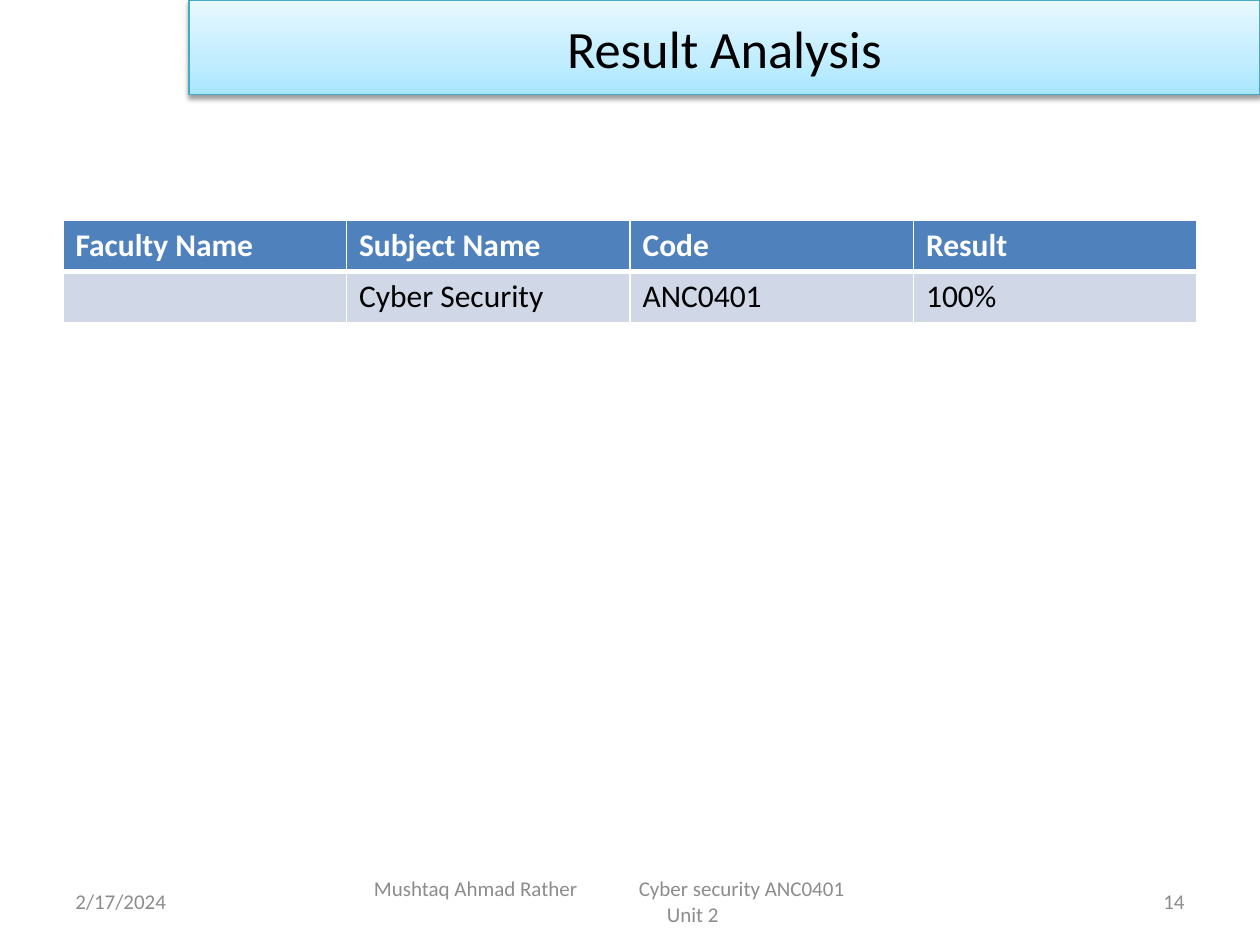
from lxml.etree import SubElement
from pptx import Presentation
from pptx.dml.color import RGBColor
from pptx.enum.shapes import MSO_SHAPE
from pptx.enum.text import MSO_ANCHOR, PP_ALIGN
from pptx.oxml.ns import qn
from pptx.util import Pt

FONT = "Calibri"
BLACK = RGBColor(0x00, 0x00, 0x00)
WHITE = RGBColor(0xFF, 0xFF, 0xFF)
GREY = RGBColor(0x8C, 0x8C, 0x8C)
TEAL = RGBColor(0x46, 0xAA, 0xC5)
HEADER_BLUE = RGBColor(0x4F, 0x81, 0xBD)
ROW_BLUE = RGBColor(0xD0, 0xD8, 0xE8)
BANNER_STOPS = [
    (0, RGBColor(0xA7, 0xE6, 0xFF)),
    (35, RGBColor(0xC1, 0xED, 0xFF)),
    (100, RGBColor(0xE7, 0xF8, 0xFF)),
]

TITLE = "Result Analysis"
RESULTS = [
    ["Faculty Name", "Subject Name", "Code", "Result"],
    ["", "Cyber Security", "ANC0401", "100%"],
]
FOOTER_TOP, FOOTER_HEIGHT = 500.5, 28.8
FOOTERS = [
    (36, 168, PP_ALIGN.LEFT, [("2/17/2024", [])]),
    (516, 168, PP_ALIGN.RIGHT, [("14", [])]),
    (198, 396, PP_ALIGN.LEFT, [
        ("\tMushtaq Ahmad Rather\tCyber security ANC0401", [8.6, 160]),
        ("\tUnit 2", [176]),
    ]),
]


def add_color(parent, color):
    return SubElement(parent, qn("a:srgbClr"), val=str(color))


def style_paragraph(paragraph, size, color, alignment=PP_ALIGN.LEFT, bold=False):
    paragraph.alignment = alignment
    paragraph.font.name = FONT
    paragraph.font.size = Pt(size)
    for run in paragraph.runs:
        run.font.name = FONT
        run.font.size = Pt(size)
        run.font.bold = bold
        run.font.color.rgb = color


def add_banner(slide):
    banner = slide.shapes.add_shape(MSO_SHAPE.RECTANGLE, Pt(108), Pt(0), Pt(612), Pt(54))
    banner.fill.gradient()
    banner.fill.gradient_angle = 90
    stop_list = banner.fill._fill._gradFill.find(qn("a:gsLst"))
    for stop in list(stop_list):
        stop_list.remove(stop)
    for percent, color in BANNER_STOPS:
        add_color(SubElement(stop_list, qn("a:gs"), pos=str(percent * 1000)), color)
    banner.line.color.rgb = TEAL
    banner.line.width = Pt(0.75)
    banner.shadow.inherit = False
    effects = banner._element.spPr.find(qn("a:effectLst"))
    shadow = SubElement(effects, qn("a:outerShdw"), blurRad=str(Pt(3.1)),
                        dist=str(Pt(1.6)), dir="5400000", rotWithShape="0")
    SubElement(add_color(shadow, BLACK), qn("a:alpha"), val="38000")
    banner.text_frame.text = TITLE
    banner.text_frame.vertical_anchor = MSO_ANCHOR.MIDDLE
    style_paragraph(banner.text_frame.paragraphs[0], 30, BLACK, PP_ALIGN.CENTER)


def add_footer(slide, left, width, alignment, lines):
    box = slide.shapes.add_textbox(Pt(left), Pt(FOOTER_TOP), Pt(width), Pt(FOOTER_HEIGHT))
    frame = box.text_frame
    frame.word_wrap = True
    frame.vertical_anchor = MSO_ANCHOR.MIDDLE
    frame.text = "\n".join(text for text, _ in lines)
    for paragraph, (_, tabs) in zip(frame.paragraphs, lines):
        if tabs:
            tab_list = SubElement(paragraph._p.get_or_add_pPr(), qn("a:tabLst"))
            for position in tabs:
                SubElement(tab_list, qn("a:tab"), pos=str(Pt(position)), algn="l")
        style_paragraph(paragraph, 12, GREY, alignment)


def set_borders(cell, bottom_width):
    properties = cell._tc.get_or_add_tcPr()
    sides = [("a:lnL", 1), ("a:lnR", 1), ("a:lnT", 1), ("a:lnB", bottom_width)]
    for index, (side, width) in enumerate(sides):
        line = SubElement(properties, qn(side), w=str(Pt(width)))
        add_color(SubElement(line, qn("a:solidFill")), WHITE)
        properties.insert(index, line)


def add_results(slide):
    table = slide.shapes.add_table(len(RESULTS), len(RESULTS[0]),
                                   Pt(36), Pt(126), Pt(648), Pt(58.4)).table
    for row_index, values in enumerate(RESULTS):
        header = row_index == 0
        for column_index, value in enumerate(values):
            cell = table.cell(row_index, column_index)
            cell.text = value
            cell.fill.solid()
            cell.fill.fore_color.rgb = HEADER_BLUE if header else ROW_BLUE
            set_borders(cell, 3 if header else 1)
            style_paragraph(cell.text_frame.paragraphs[0], 18,
                            WHITE if header else BLACK, bold=header)
            if not header:
                cell._tc.tcPr.find(qn("a:lnT")).set("w", str(Pt(3)))


def main():
    presentation = Presentation()
    presentation.slide_width = Pt(720)
    presentation.slide_height = Pt(540)
    slide = presentation.slides.add_slide(presentation.slide_layouts[6])
    add_banner(slide)
    for footer in FOOTERS:
        add_footer(slide, *footer)
    add_results(slide)
    presentation.save("out.pptx")


if __name__ == "__main__":
    main()
